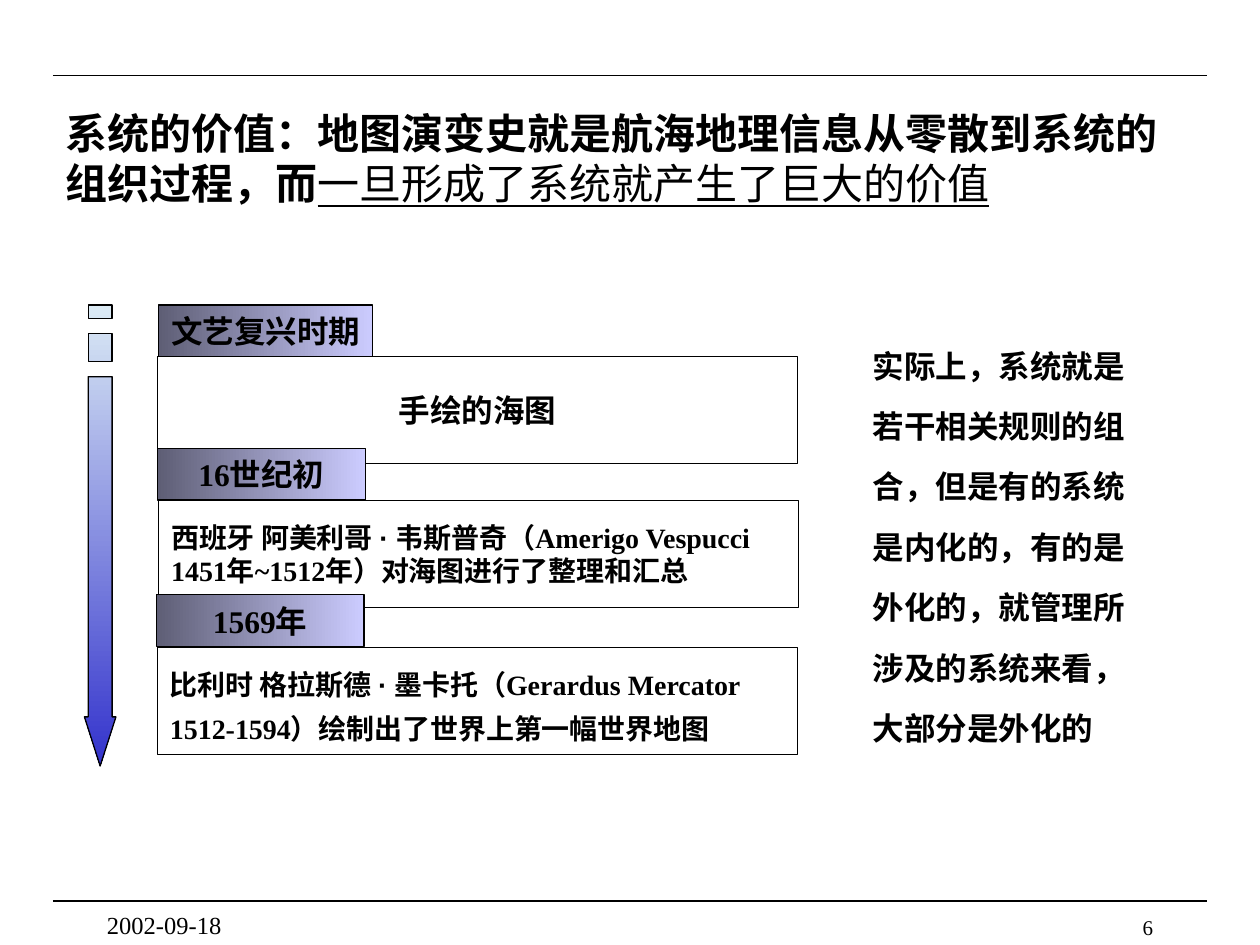
from dataclasses import dataclass
from typing import NamedTuple

from lxml import etree
from pptx import Presentation
from pptx.dml.color import RGBColor
from pptx.enum.shapes import MSO_CONNECTOR, MSO_SHAPE
from pptx.enum.text import MSO_ANCHOR, PP_ALIGN
from pptx.oxml.ns import qn
from pptx.util import Inches, Pt

RECTANGLE = MSO_SHAPE.RECTANGLE
STRAIGHT = MSO_CONNECTOR.STRAIGHT
TOP, MIDDLE = MSO_ANCHOR.TOP, MSO_ANCHOR.MIDDLE
LEFT, CENTER, RIGHT = PP_ALIGN.LEFT, PP_ALIGN.CENTER, PP_ALIGN.RIGHT
TITLE_ONLY = 5


@dataclass(frozen=True)
class Theme:
    font: str = "Times New Roman"
    dot_font: str = "Arial"
    ink: RGBColor = RGBColor(0x00, 0x00, 0x00)
    label_light: RGBColor = RGBColor(0xCC, 0xCC, 0xFF)
    label_dark: RGBColor = RGBColor(0x5E, 0x5E, 0x75)
    arrow_light: RGBColor = RGBColor(0xDC, 0xEB, 0xF5)
    arrow_dark: RGBColor = RGBColor(0x33, 0x33, 0xCC)
    title_size: int = 24
    label_size: int = 18
    detail_size: int = 16
    date_size: int = 14
    number_size: int = 12
    line_width: float = 0.75


THEME = Theme()


class Box(NamedTuple):
    left: float
    top: float
    width: float
    height: float

    def lengths(self):
        return tuple(Inches(value) for value in self)


class Span(NamedTuple):
    text: str
    bold: bool = True
    underline: bool = False
    font: str = THEME.font


class Style(NamedTuple):
    size: int
    align: PP_ALIGN = LEFT
    anchor: MSO_ANCHOR = MIDDLE
    spacing: float = 1.0


class Stage(NamedTuple):
    period: str
    label: Box
    event: list[Span]
    frame: Box
    style: Style


DOT = Span("·", font=THEME.dot_font)
HEADING = Style(THEME.label_size, CENTER)
STAGES = [
    Stage("文艺复兴时期", Box(1.26, 2.42, 1.7, 0.41),
          [Span("手绘的海图")], Box(1.25, 2.83, 5.08, 0.85), HEADING),
    Stage("16世纪初", Box(1.25, 3.56, 1.65, 0.41),
          [Span("西班牙 阿美利哥 "), DOT,
           Span(" 韦斯普奇（Amerigo Vespucci 1451年~1512年）对海图进行了整理和汇总")],
          Box(1.26, 3.97, 5.08, 0.85), Style(THEME.detail_size)),
    Stage("1569年", Box(1.24, 4.72, 1.65, 0.41),
          [Span("比利时 格拉斯德 "), DOT,
           Span(" 墨卡托（Gerardus Mercator 1512-1594）绘制出了世界上第一幅世界地图")],
          Box(1.25, 5.14, 5.08, 0.85), Style(THEME.detail_size, spacing=1.3)),
]


def write(shape, spans: list[Span], style: Style) -> None:
    frame = shape.text_frame
    frame.word_wrap = True
    frame.vertical_anchor = style.anchor
    frame.margin_left = frame.margin_right = Inches(0.1)
    frame.margin_top = frame.margin_bottom = Inches(0.05)
    paragraph = frame.paragraphs[0]
    paragraph.alignment = style.align
    paragraph.line_spacing = style.spacing
    paragraph.space_before = Pt(0)
    for span in spans:
        run = paragraph.add_run()
        run.text = span.text
        run.font.name = span.font
        run.font.size = Pt(style.size)
        run.font.bold = span.bold
        run.font.underline = span.underline
        run.font.color.rgb = THEME.ink


def outline(shape) -> None:
    shape.shadow.inherit = False
    shape.line.color.rgb = THEME.ink
    shape.line.width = Pt(THEME.line_width)


def fill_gradient(shape, start: RGBColor, end: RGBColor, angle: int) -> None:
    """Blend two colours; the angle runs counter-clockwise from left to right."""
    shape.fill.gradient()
    shape.fill.gradient_angle = angle
    for stop, position, colour in zip(shape.fill.gradient_stops, (0, 1), (start, end)):
        stop.position = position
        stop.color.rgb = colour


def add_text(slide, box: Box, spans: list[Span], style: Style) -> None:
    write(slide.shapes.add_textbox(*box.lengths()), spans, style)


def add_rule(slide, y: float) -> None:
    rule = slide.shapes.add_connector(
        STRAIGHT, Inches(0.42), Inches(y), Inches(9.58), Inches(y))
    rule.line.color.rgb = THEME.ink
    rule.line.width = Pt(THEME.line_width)
    etree.SubElement(rule._element.spPr, qn("a:effectLst"))


def add_stage(slide, stage: Stage) -> None:
    label = slide.shapes.add_shape(RECTANGLE, *stage.label.lengths())
    fill_gradient(label, THEME.label_light, THEME.label_dark, 180)
    outline(label)
    write(label, [Span(stage.period)], HEADING)
    label.text_frame.word_wrap = len(stage.period) < 6

    frame = slide.shapes.add_shape(RECTANGLE, *stage.frame.lengths())
    frame.fill.background()
    outline(frame)
    write(frame, stage.event, stage.style)


def add_time_arrow(slide) -> None:
    """Draw the downward arrow whose tail breaks into two stripes."""
    left, right = 0.7, 0.89
    head_left, head_right, head_top, tip = 0.67, 0.92, 5.69, 6.08
    shaft = [(right, 2.99), (right, head_top), (head_right, head_top),
             ((head_left + head_right) / 2, tip),
             (head_left, head_top), (left, head_top), (left, 2.99)]
    stripes = [[(right, top), (right, bottom), (left, bottom), (left, top)]
               for top, bottom in ((2.42, 2.53), (2.65, 2.87))]
    builder = slide.shapes.build_freeform(
        Inches(shaft[0][0]), Inches(shaft[0][1]))
    for index, contour in enumerate([shaft, *stripes]):
        points = [(Inches(x), Inches(y)) for x, y in contour]
        if index:
            builder.move_to(*points[0])
        builder.add_line_segments(points[1:], close=True)
    arrow = builder.convert_to_shape()
    fill_gradient(arrow, THEME.arrow_light, THEME.arrow_dark, 270)
    outline(arrow)


def main() -> None:
    deck = Presentation()
    deck.slide_width, deck.slide_height = Inches(10), Inches(7.5)
    slide = deck.slides.add_slide(deck.slide_layouts[TITLE_ONLY])

    for y in (0.6, 7.15):
        add_rule(slide, y)

    title = slide.shapes.title
    title.left, title.top, title.width, title.height = Box(0.42, 0.75, 9.17, 1).lengths()
    write(title, [
        Span("系统的价值：地图演变史就是航海地理信息从零散到系统的组织过程，而"),
        Span("一旦形成了系统就产生了巨大的价值", bold=False, underline=True),
    ], Style(THEME.title_size))

    for stage in STAGES:
        add_stage(slide, stage)
    add_time_arrow(slide)

    add_text(slide, Box(6.83, 2.5, 2.42, 3.5), [Span(
        "实际上，系统就是若干相关规则的组合，但是有的系统是内化的，"
        "有的是外化的，就管理所涉及的系统来看，大部分是外化的")],
        Style(THEME.label_size, spacing=1.6))
    add_text(slide, Box(7.17, 7.21, 2.08, 0.17), [Span("6", bold=False)],
             Style(THEME.number_size, RIGHT, TOP))
    add_text(slide, Box(0.75, 7.17, 2.08, 0.25), [Span("2002-09-18", bold=False)],
             Style(THEME.date_size, LEFT, TOP))

    deck.save("out.pptx")


if __name__ == "__main__":
    main()
